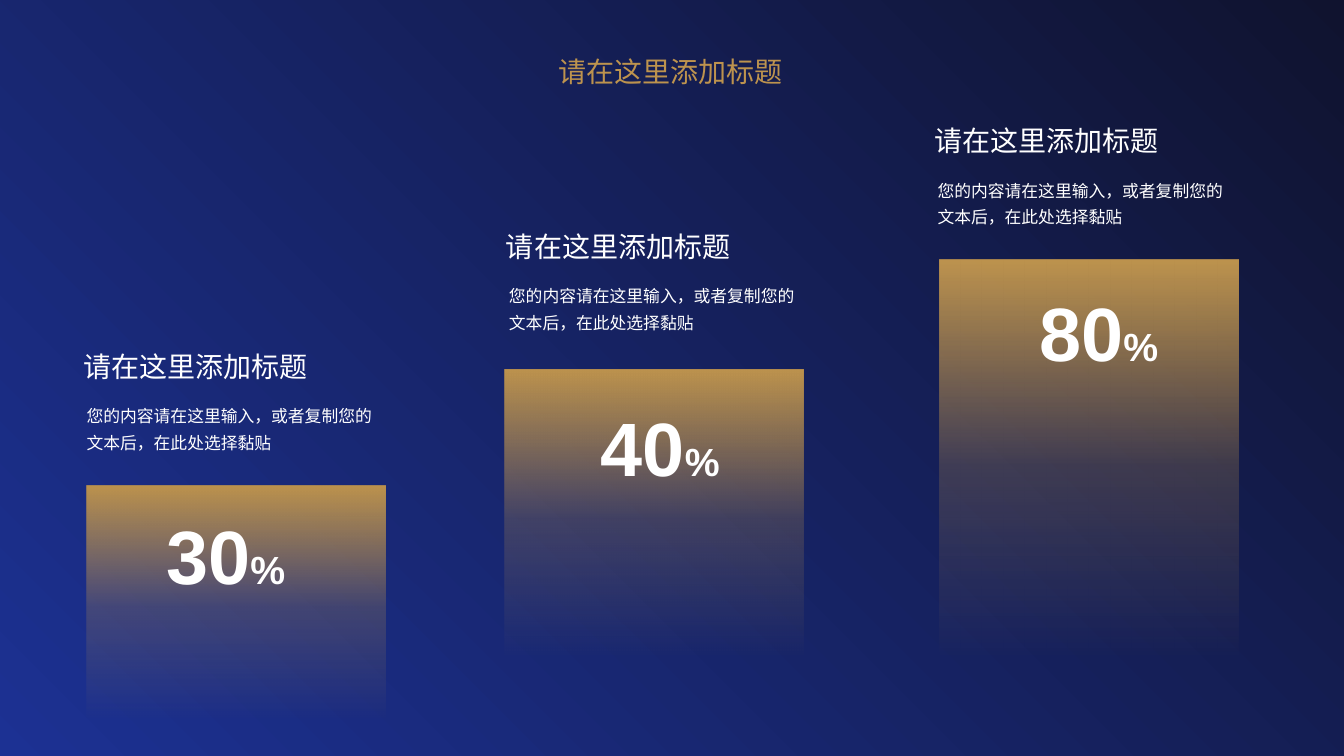
from lxml import etree
from pptx import Presentation
from pptx.dml.color import RGBColor
from pptx.enum.shapes import MSO_SHAPE
from pptx.enum.text import MSO_AUTO_SIZE
from pptx.oxml.ns import qn
from pptx.util import Inches, Pt

GOLD = RGBColor(0xBD, 0x93, 0x4E)
WHITE = RGBColor(0xFF, 0xFF, 0xFF)
BLUE = RGBColor(0x1C, 0x31, 0x93)
NAVY = RGBColor(0x10, 0x13, 0x2F)

HEADING = "请在这里添加标题"
BODY = "您的内容请在这里输入，或者复制您的文本后，在此处选择黏贴"
BAR_WIDTH = 2.96

# bar left, top, height; number left, top; heading left, top; body width
COLUMNS = [
    ("30", (0.86, 4.82, 2.31), (1.55, 5.0), (0.73, 3.42), 3.05),
    ("40", (5.01, 3.67, 2.83), (5.86, 3.93), (4.92, 2.23), 3.16),
    ("80", (9.32, 2.58, 3.92), (10.21, 2.79), (9.17, 1.18), 3.08),
]


class SlideBuilder:
    latin_font = "Arial"
    chinese_font = "Noto Sans CJK SC"

    def __init__(self, slide):
        self.slide = slide

    def gradient(self, fill, element, angle, stops):
        """Fill with stops of (position %, colour, opacity %)."""
        fill.gradient()
        fill.gradient_angle = angle
        stop_list = next(element.iter(qn("a:gsLst")))
        for old_stop in list(stop_list):
            stop_list.remove(old_stop)
        for position, color, opacity in stops:
            stop = etree.SubElement(stop_list, qn("a:gs"), pos=str(position * 1000))
            color_element = etree.SubElement(stop, qn("a:srgbClr"), val=str(color))
            if opacity < 100:
                etree.SubElement(color_element, qn("a:alpha"), val=str(opacity * 1000))

    def background(self):
        self.gradient(self.slide.background.fill, self.slide.element, 45,
                      [(0, BLUE, 100), (100, NAVY, 100)])

    def bar(self, left, top, height):
        shape = self.slide.shapes.add_shape(
            MSO_SHAPE.RECTANGLE, Inches(left), Inches(top), Inches(BAR_WIDTH), Inches(height))
        shape.shadow.inherit = False
        shape.line.fill.background()
        self.gradient(shape.fill, shape.element, 90,
                      [(0, GOLD, 0), (48, GOLD, 25), (100, GOLD, 100)])

    def text(self, left, top, width, height, runs, wrap=False, line_spacing=None, **style):
        """Add one paragraph made of (text, size) runs."""
        box = self.slide.shapes.add_textbox(
            Inches(left), Inches(top), Inches(width), Inches(height))
        frame = box.text_frame
        frame.word_wrap = wrap
        frame.auto_size = MSO_AUTO_SIZE.SHAPE_TO_FIT_TEXT
        paragraph = frame.paragraphs[0]
        paragraph.line_spacing = line_spacing
        for content, size in runs:
            run = paragraph.add_run()
            run.text = content
            font_format = {"name": self.latin_font, "size": Pt(size), **style}
            color = font_format.pop("color", WHITE)
            for attribute, value in font_format.items():
                setattr(run.font, attribute, value)
            run.font.color.rgb = color
            latin = run.font._element.find(qn("a:latin"))
            east_asian = etree.Element(qn("a:ea"), typeface=self.chinese_font)
            latin.addnext(east_asian)

    def heading(self, left, top, color=WHITE):
        self.text(left, top, 2.45, 0.44, [(HEADING, 20)], color=color)

    def body(self, left, top, width):
        self.text(left, top, width, 0.6, [(BODY, 12)], wrap=True, line_spacing=1.3,
                  name=self.chinese_font)

    def percentage(self, left, top, number):
        self.text(left, top, 1.39, 1.01, [(number, 54), ("%", 28)], bold=True)


def main():
    presentation = Presentation()
    presentation.slide_width = Inches(13.33)
    presentation.slide_height = Inches(7.5)
    builder = SlideBuilder(presentation.slides.add_slide(presentation.slide_layouts[6]))

    builder.background()
    builder.heading(5.44, 0.49, GOLD)
    for number, bar, number_place, (left, top), body_width in COLUMNS:
        builder.bar(*bar)
        builder.percentage(*number_place, number)
        builder.body(left + 0.03, top + 0.5, body_width)
        builder.heading(left, top)

    presentation.save("out.pptx")


if __name__ == "__main__":
    main()
